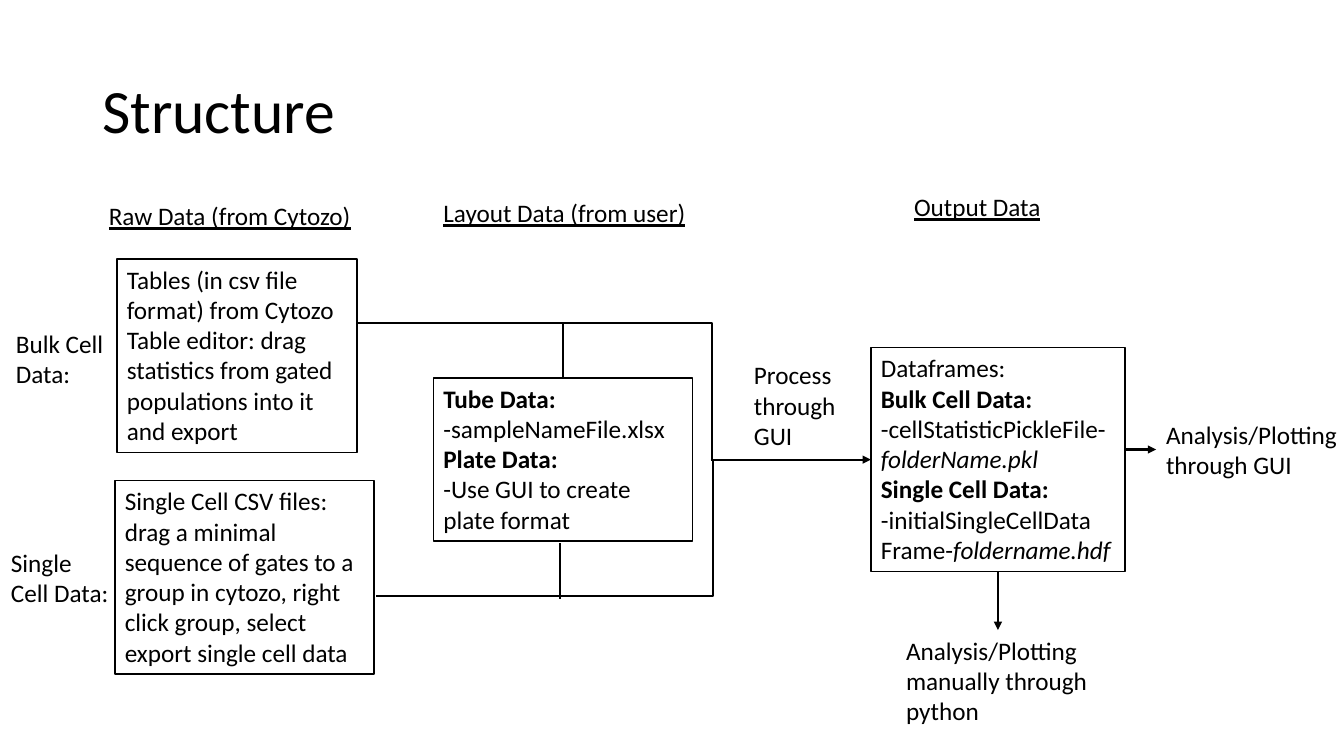
import pptx
import pptx.dml.color
import pptx.enum.dml
import pptx.enum.shapes
import pptx.enum.text
import pptx.oxml
import pptx.oxml.ns
import pptx.util

Pt = pptx.util.Pt
COLORS = {"ink": "000000", "paper": "FFFFFF"}
INK = pptx.dml.color.RGBColor.from_string(COLORS["ink"])
PAPER = pptx.dml.color.RGBColor.from_string(COLORS["paper"])
STRAIGHT = pptx.enum.shapes.MSO_CONNECTOR.STRAIGHT
ELBOW = pptx.enum.shapes.MSO_CONNECTOR.ELBOW

presentation = pptx.Presentation()
presentation.slide_width = Pt(960)
presentation.slide_height = Pt(540)
slide = presentation.slides.add_slide(presentation.slide_layouts[6])


def write_text(shape, paragraphs, size=18, underline=None):
    text_frame = shape.text_frame
    text_frame.word_wrap = True
    for index, runs in enumerate(paragraphs):
        paragraph = text_frame.paragraphs[0] if index == 0 else text_frame.add_paragraph()
        paragraph.alignment = pptx.enum.text.PP_ALIGN.LEFT
        for text, style in runs:
            run = paragraph.add_run()
            run.text = text
            run.font.name = "Calibri"
            run.font.size = Pt(size)
            run.font.color.rgb = INK
            run.font.underline = underline
            run.font.bold = style == "bold"
            run.font.italic = style == "italic"


def add_line(kind, start, end, arrow=False):
    connector = slide.shapes.add_connector(kind, *[Pt(value) for value in start + end])
    connector.line.color.rgb = INK
    connector.line.width = Pt(1.5)
    properties = connector._element.spPr
    if arrow:
        line = connector.line._get_or_add_ln()
        pptx.oxml.ns.qn("a:tailEnd")
        line.append(pptx.oxml.parse_xml(
            f'<a:tailEnd {pptx.oxml.ns.nsdecls("a")} type="triangle"/>'))
    properties.append(pptx.oxml.parse_xml(f'<a:effectLst {pptx.oxml.ns.nsdecls("a")}/>'))
    return connector


title = slide.shapes.add_textbox(Pt(66), Pt(28.75), Pt(828), Pt(104.4))
write_text(title, [[("Structure", None)]], size=44)
title.text_frame.vertical_anchor = pptx.enum.text.MSO_ANCHOR.MIDDLE
title.text_frame.paragraphs[0].line_spacing = 0.9

headings = [
    ("Raw Data (from Cytozo)", 70.6, 139.7, 198),
    ("Layout Data (from user)", 309.6, 137.5, 198),
    ("Output Data", 645.8, 133.2, 114.5),
]
for text, left, top, width in headings:
    heading = slide.shapes.add_textbox(Pt(left), Pt(top), Pt(width), Pt(29))
    write_text(heading, [[(text, None)]], underline=True)

labels = [
    ("Bulk Cell Data:", 4.3, 231.1, 77.8, 51),
    ("Single Cell Data:", 0.7, 387.4, 85, 51),
    ("Process through GUI", 531.4, 253.4, 75.6, 72.7),
    ("Analysis/Plotting through GUI", 825.8, 295.9, 144.7, 51),
    ("Analysis/Plotting manually through python", 640.1, 450, 144.7, 72.7),
]
for text, left, top, width, height in labels:
    label = slide.shapes.add_textbox(Pt(left), Pt(top), Pt(width), Pt(height))
    write_text(label, [[(text, None)]])

boxes = {
    "bulk": (83.5, 185, 171.4, 138.2, [
        [("Tables (in csv file format) from Cytozo Table editor: drag statistics "
          "from gated populations into it and export", None)],
    ]),
    "single": (82.1, 343.4, 185, 138.2, [
        [("Single Cell CSV files: drag a minimal sequence of gates to a group in "
          "cytozo, right click group, select export single cell data", None)],
    ]),
    "layout": (309.6, 270, 185, 116.6, [
        [("Tube Data:", "bold")],
        [("-sampleNameFile.xlsx", None)],
        [("Plate Data:", "bold")],
        [("-Use GUI to create plate format", None)],
    ]),
    "output": (622.1, 248.4, 181.4, 159.8, [
        [("Dataframes:", None)],
        [("Bulk Cell Data:", "bold")],
        [("-cellStatisticPickleFile-", None), ("folderName.pkl", "italic")],
        [("Single Cell Data:", "bold")],
        [("-initialSingleCellData", None)],
        [("Frame-", None), ("foldername.hdf", "italic")],
    ]),
}
box_shapes = {}
for name, (left, top, width, height, paragraphs) in boxes.items():
    box = slide.shapes.add_shape(
        pptx.enum.shapes.MSO_SHAPE.RECTANGLE, Pt(left), Pt(top), Pt(width), Pt(height))
    box.shadow.inherit = False
    box.fill.solid()
    box.fill.fore_color.rgb = PAPER
    box.line.color.rgb = INK
    box.line.width = Pt(1)
    box.text_frame.vertical_anchor = pptx.enum.text.MSO_ANCHOR.TOP
    write_text(box, paragraphs)
    box_shapes[name] = box

merge_point = (562.3, 328.3)
for start, bend in [((254.9, 230.6), 82600), ((268.6, 425.5), 82000)]:
    elbow = add_line(ELBOW, start, merge_point)
    guides = elbow._element.spPr.find(pptx.oxml.ns.qn("a:prstGeom")).get_or_add_avLst()
    guides.append(pptx.oxml.parse_xml(
        f'<a:gd {pptx.oxml.ns.nsdecls("a")} name="adj1" fmla="val {bend}"/>'))

layout_top = add_line(STRAIGHT, (402.1, 230.6), (402.1, 270))
layout_top.end_connect(box_shapes["layout"], 0)
add_line(STRAIGHT, (400.3, 388.1), (400.3, 427.7))
process_arrow = add_line(STRAIGHT, (507.6, 328.3), (622.1, 328.3), arrow=True)
process_arrow.end_connect(box_shapes["output"], 1)
add_line(STRAIGHT, (803.5, 321.1), (825.8, 321.1), arrow=True)
manual_arrow = add_line(STRAIGHT, (712.8, 408.2), (712.8, 450), arrow=True)
manual_arrow.begin_connect(box_shapes["output"], 2)

presentation.save("out.pptx")
